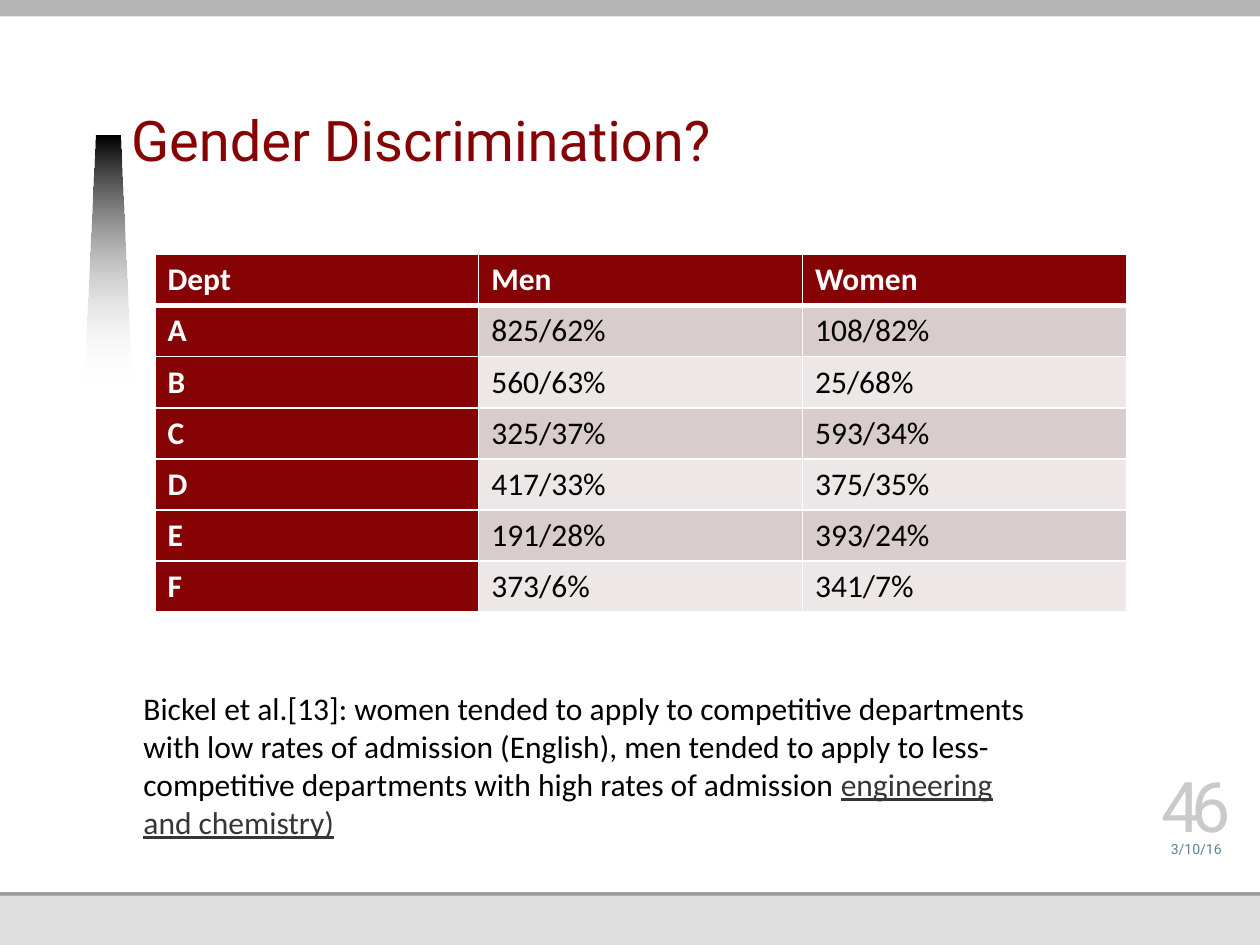
from dataclasses import dataclass

import pptx
import pptx.dml.color
import pptx.enum.shapes
import pptx.enum.text
import pptx.oxml
import pptx.oxml.ns
import pptx.util
from lxml import etree

Inches = pptx.util.Inches
Pt = pptx.util.Pt
ALIGN = pptx.enum.text.PP_ALIGN
ANCHOR = pptx.enum.text.MSO_ANCHOR
qn = pptx.oxml.ns.qn


@dataclass(frozen=True)
class Theme:
    accent: str = "850205"
    white: str = "FFFFFF"
    black: str = "000000"
    footer: str = "DFDFDF"
    rule: str = "989898"
    top_bar: str = "B5B5B5"
    odd_row: str = "D9CCCC"
    even_row: str = "EDE7E7"
    emphasis: str = "363636"
    date: str = "618091"
    number: str = "CACACA"
    heading_font: str = "Roboto"
    body_font: str = "Calibri"
    title_size: int = 32
    body_size: int = 18
    date_size: int = 8
    number_size: int = 40


THEME = Theme()
ROWS = [
    ("Dept", "Men", "Women"),
    ("A", "825/62%", "108/82%"),
    ("B", "560/63%", "25/68%"),
    ("C", "325/37%", "593/34%"),
    ("D", "417/33%", "375/35%"),
    ("E", "191/28%", "393/24%"),
    ("F", "373/6%", "341/7%"),
]


def rgb(value):
    return pptx.dml.color.RGBColor.from_string(value)


def set_fill(target, color):
    target.fill.solid()
    target.fill.fore_color.rgb = rgb(color)


def add_run(p, text, font, size, color, bold=False, underline=None):
    r = p.add_run()
    r.text = text
    r.font.name, r.font.size = font, Pt(size)
    r.font.color.rgb = rgb(color)
    r.font.bold, r.font.underline = bold, underline
    return r


def add_band(slide, left, top, width, height, color):
    sp = slide.shapes.add_shape(
        pptx.enum.shapes.MSO_SHAPE.RECTANGLE,
        Inches(left), Inches(top), Inches(width), Inches(height))
    sp.shadow.inherit = False
    set_fill(sp, color)
    sp.line.fill.background()


def add_beam(slide):
    points = [(Inches(x), Inches(y))
              for x, y in [(0.67, 3.05), (0.76, 1.08), (0.95, 1.08), (1.04, 3.05)]]
    builder = slide.shapes.build_freeform(*points[0], scale=1.0)
    builder.add_line_segments(points[1:], close=True)
    sp = builder.convert_to_shape()
    sp.shadow.inherit = False
    sp.line.fill.background()
    sp.fill.gradient()
    sp.fill.gradient_angle = 270
    for stop, color, position in zip(sp.fill.gradient_stops, (THEME.black, THEME.white), (0, 1)):
        stop.color.rgb = rgb(color)
        stop.position = position
    last_color = list(sp.element.iter(qn("a:srgbClr")))[-1]
    etree.SubElement(last_color, qn("a:alpha"), val="0")


def add_title(slide, text):
    sp = slide.shapes.title
    slide.shapes.element.append(sp.element)
    sp.left, sp.top, sp.width, sp.height = map(Inches, (1.04, 0.34, 6.87, 1.08))
    tf = sp.text_frame
    tf.auto_size = pptx.enum.text.MSO_AUTO_SIZE.NONE
    tf.vertical_anchor = ANCHOR.BOTTOM
    tf.margin_left = tf.margin_right = tf.margin_top = 0
    tf.margin_bottom = Inches(0.05)
    p = tf.paragraphs[0]
    p.alignment, p.line_spacing = ALIGN.LEFT, Pt(34)
    add_run(p, text, THEME.heading_font, THEME.title_size, THEME.accent)


def add_text_box(slide, left, top, width, height):
    sp = slide.shapes.add_textbox(Inches(left), Inches(top), Inches(width), Inches(height))
    sp.text_frame.word_wrap = True
    return sp.text_frame


def add_marker(slide, top, height, text, size, color):
    tf = add_text_box(slide, 9.13, top, 0.73, height)
    tf.margin_left = tf.margin_right = tf.margin_top = tf.margin_bottom = 0
    tf.vertical_anchor = ANCHOR.BOTTOM
    p = tf.paragraphs[0]
    p.alignment = ALIGN.CENTER
    return add_run(p, text, THEME.heading_font, size, color)


def set_borders(cell, **widths):
    tc_pr = cell._tc.get_or_add_tcPr()
    for side in "LRTB":
        ln = etree.SubElement(tc_pr, qn(f"a:ln{side}"), w=str(Pt(widths.get(side, 1))))
        fill = etree.SubElement(ln, qn("a:solidFill"))
        etree.SubElement(fill, qn("a:srgbClr"), val=THEME.white)


def add_admissions_table(slide):
    table = slide.shapes.add_table(
        len(ROWS), len(ROWS[0]), Inches(1.23), Inches(2.02), Inches(7.71), Inches(2.84)).table
    table.first_col = True
    for i, row in enumerate(ROWS):
        for j, text in enumerate(row):
            cell = table.cell(i, j)
            heading = i == 0 or j == 0
            band = THEME.odd_row if i % 2 else THEME.even_row
            set_borders(cell, T=3 if i == 1 else 1, B=3 if i == 0 else 1)
            set_fill(cell, THEME.accent if heading else band)
            add_run(cell.text_frame.paragraphs[0], text, THEME.body_font, THEME.body_size,
                    THEME.white if heading else THEME.black, bold=heading)


def add_explanation(slide):
    tf = add_text_box(slide, 1.04, 5.42, 7.24, 1.31)
    p = tf.paragraphs[0]
    add_run(p, "Bickel et al.[13]: women tended to apply to competitive departments with low "
               "rates of admission (English), men tended to apply to less-competitive "
               "departments with high rates of admission ",
            THEME.body_font, THEME.body_size, THEME.black)
    add_run(p, "engineering and chemistry)", THEME.body_font, THEME.body_size,
            THEME.emphasis, underline=True)


def main():
    """Build the admissions slide and save it."""
    prs = pptx.Presentation()
    prs.slide_width, prs.slide_height = Inches(10), Inches(7.5)
    slide = prs.slides.add_slide(prs.slide_layouts.get_by_name("Title Only"))
    add_band(slide, 0, 0, 10, 7.5, THEME.footer)
    add_band(slide, 0, 1.78, 10, 5.33, THEME.rule)
    add_band(slide, 0, 0, 10, 7.08, THEME.white)
    add_beam(slide)
    add_band(slide, 0, -0.04, 10.17, 0.17, THEME.top_bar)
    add_title(slide, "Gender Discrimination?")
    add_admissions_table(slide)
    add_marker(slide, 6.58, 0.22, "3/10/16", THEME.date_size, THEME.date)
    number = add_marker(slide, 6.16, 0.56, "46", THEME.number_size, THEME.number)
    number.font._element.set("spc", "-500")
    add_explanation(slide)
    prs.save("out.pptx")


if __name__ == "__main__":
    main()
